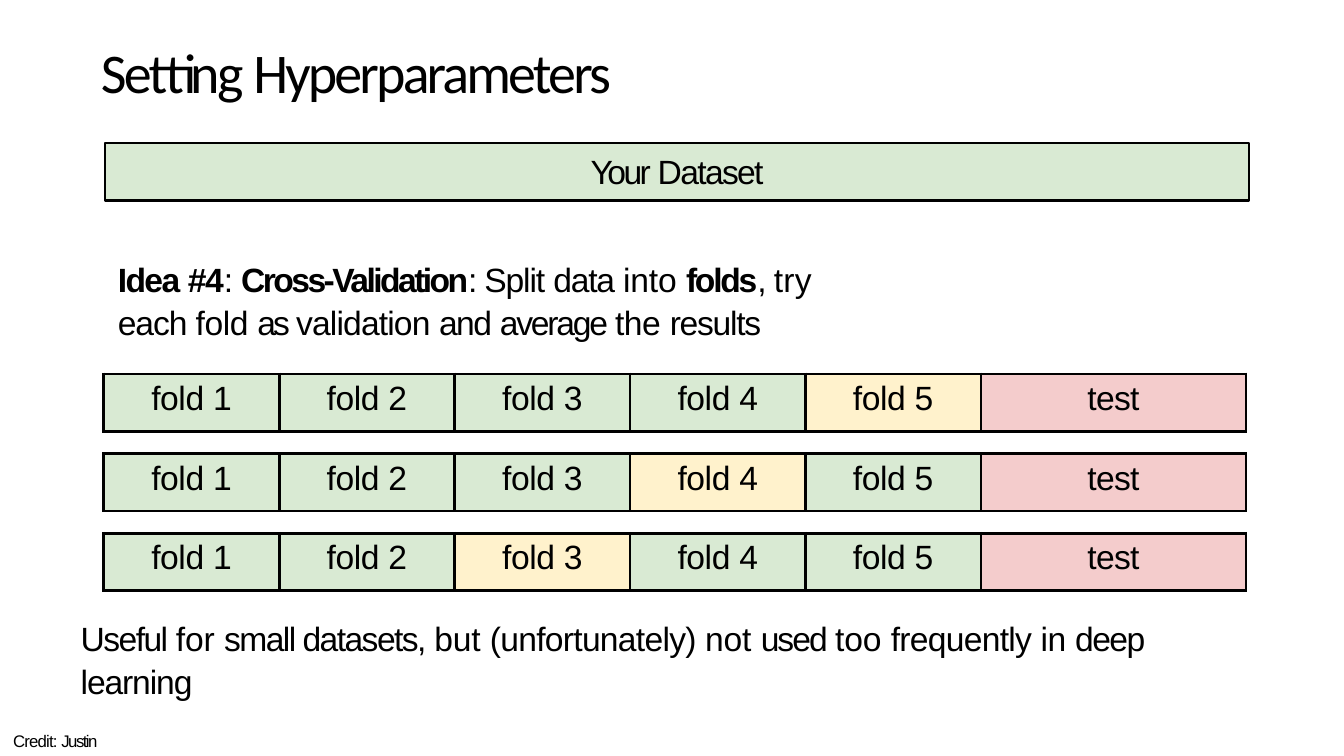
from dataclasses import dataclass

import lxml.etree
import pptx
import pptx.dml.color
import pptx.enum.shapes
import pptx.enum.text
import pptx.oxml.ns
import pptx.util

PX = 9144  # EMU; 100 px to the inch


@dataclass(frozen=True)
class Theme:
    ink: str = "000000"
    train: str = "D9EAD3"
    validation: str = "FFF2CC"
    test: str = "F4CCCC"
    heading_font: str = "Calibri"
    body_font: str = "Arial"
    title_size: int = 40
    body_size: int = 24
    credit_size: int = 12
    bar_line: float = 1.5
    cell_line: float = 2.25


THEME = Theme()
CENTER = pptx.enum.text.PP_ALIGN.CENTER
MIDDLE = pptx.enum.text.MSO_ANCHOR.MIDDLE
TOP = pptx.enum.text.MSO_ANCHOR.TOP

FOLDS = 5
FOLD_WIDTH, TEST_WIDTH, ROW_HEIGHT = 174, 263, 57
SPLIT_LEFT, SPLIT_TOP, SPLIT_STEP = 103, 371, 79
VALIDATION_FOLDS = (5, 4, 3)

# Each span is its text, its letter spacing in points and, if bold, True.
TITLE = [("Setting ", -1.9), ("Hyperparameters", -2)]
DATASET = [("Your ", -1.8), ("Dataset", -1.2)]
IDEA = [
    ("Idea ", -1.2, True), ("#4", -1, True), (": ", -1),
    ("Cross-Validation", -1.8, True), (": ", -1.8), ("Split ", -0.8),
    ("data ", -0.9), ("into ", -0.1), ("folds", -1.6, True), (", ", -1.6),
    ("try ", 0.2), ("each ", -0.8), ("fold ", -0.3), ("as ", -2.2),
    ("validation ", -0.6), ("and ", -1.1), ("average ", -1.6),
    ("the ", -0.3), ("results", -0.9),
]
REMARK = [
    ("Useful ", -1.1), ("for ", -0.1), ("small datasets, ", -1.1),
    ("but ", -0.1), ("(unfortunately) ", -0.5), ("not ", -0.1),
    ("used ", -1.4), ("too ", -0.1), ("frequently ", -0.5), ("in ", -0.3),
    ("deep ", -1.1), ("learning", -0.8),
]
CREDIT = [("Credit: ", -0.6), ("Justin", -1.1)]


def px(*lengths):
    return [pptx.util.Emu(length * PX) for length in lengths]


def color(value):
    return pptx.dml.color.RGBColor.from_string(value)


def paint(fill, value):
    fill.solid()
    fill.fore_color.rgb = color(value)


def write_spans(para, spans, size, font_name=THEME.body_font):
    for text, spacing, *bold in spans:
        span = para.add_run()
        span.text = text
        span.font.size = pptx.util.Pt(size)
        span.font.name = font_name
        span.font.bold = bool(bold)
        span.font.color.rgb = color(THEME.ink)
        span.font._element.set("spc", str(round(spacing * 100)))


def set_margins(holder, top):
    holder.margin_left = holder.margin_right = holder.margin_bottom = 0
    holder.margin_top = px(top)[0]


def add_text(page, bounds, spans, size, font_name=THEME.body_font,
             anchor=TOP, line_spacing=1.0):
    box = page.shapes.add_textbox(*px(*bounds))
    frame = box.text_frame
    frame.word_wrap = True
    frame.vertical_anchor = anchor
    set_margins(frame, 1)
    para = frame.paragraphs[0]
    para.line_spacing = line_spacing
    write_spans(para, spans, size, font_name)


def add_dataset_bar(page, bounds):
    bar = page.shapes.add_shape(
        pptx.enum.shapes.MSO_SHAPE.RECTANGLE, *px(*bounds))
    bar.shadow.inherit = False
    paint(bar.fill, THEME.train)
    bar.line.color.rgb = color(THEME.ink)
    bar.line.width = pptx.util.Pt(THEME.bar_line)
    set_margins(bar.text_frame, 8)
    bar.text_frame.vertical_anchor = TOP
    para = bar.text_frame.paragraphs[0]
    para.alignment = CENTER
    write_spans(para, DATASET, THEME.body_size)


def add_borders(cell):
    """Outline all four sides; must run before the cell is filled."""
    qn = pptx.oxml.ns.qn
    properties = cell._tc.get_or_add_tcPr()
    width = str(pptx.util.Pt(THEME.cell_line))
    for side in ("a:lnL", "a:lnR", "a:lnT", "a:lnB"):
        line = lxml.etree.SubElement(properties, qn(side), w=width)
        fill = lxml.etree.SubElement(line, qn("a:solidFill"))
        lxml.etree.SubElement(fill, qn("a:srgbClr"), val=THEME.ink)


def fill_cell(cell, spans, fill_color):
    add_borders(cell)
    paint(cell.fill, fill_color)
    set_margins(cell, 6)
    para = cell.text_frame.paragraphs[0]
    para.alignment = CENTER
    write_spans(para, spans, THEME.body_size)


def add_split(page, top, validation_fold):
    """One row of folds and the test set, with one fold held out."""
    widths = [FOLD_WIDTH] * FOLDS + [TEST_WIDTH]
    table = page.shapes.add_table(
        1, len(widths), *px(SPLIT_LEFT, top, sum(widths), ROW_HEIGHT)).table
    table.first_row = table.horz_banding = False
    for column, width in zip(table.columns, widths):
        column.width = px(width)[0]
    for fold in range(1, FOLDS + 1):
        held_out = fold == validation_fold
        fill_cell(table.cell(0, fold - 1),
                  [("fold ", -0.3), (str(fold), -1.2)],
                  THEME.validation if held_out else THEME.train)
    fill_cell(table.cell(0, FOLDS), [("test", -0.5)], THEME.test)


def main():
    deck = pptx.Presentation()
    deck.slide_width, deck.slide_height = px(1333, 750)
    page = deck.slides.add_slide(deck.slide_layouts[6])

    add_text(page, (100, 36, 560, 69), TITLE, THEME.title_size,
             THEME.heading_font, anchor=MIDDLE)
    add_dataset_bar(page, (104, 142, 1135, 57))
    add_text(page, (117, 254, 747, 83), IDEA, THEME.body_size,
             line_spacing=1.06)
    for index, validation_fold in enumerate(VALIDATION_FOLDS):
        add_split(page, SPLIT_TOP + index * SPLIT_STEP, validation_fold)
    add_text(page, (80, 610, 1161, 83), REMARK, THEME.body_size,
             line_spacing=1.06)
    add_text(page, (13, 724, 145, 20), CREDIT, THEME.credit_size)

    deck.save("out.pptx")


if __name__ == "__main__":
    main()
